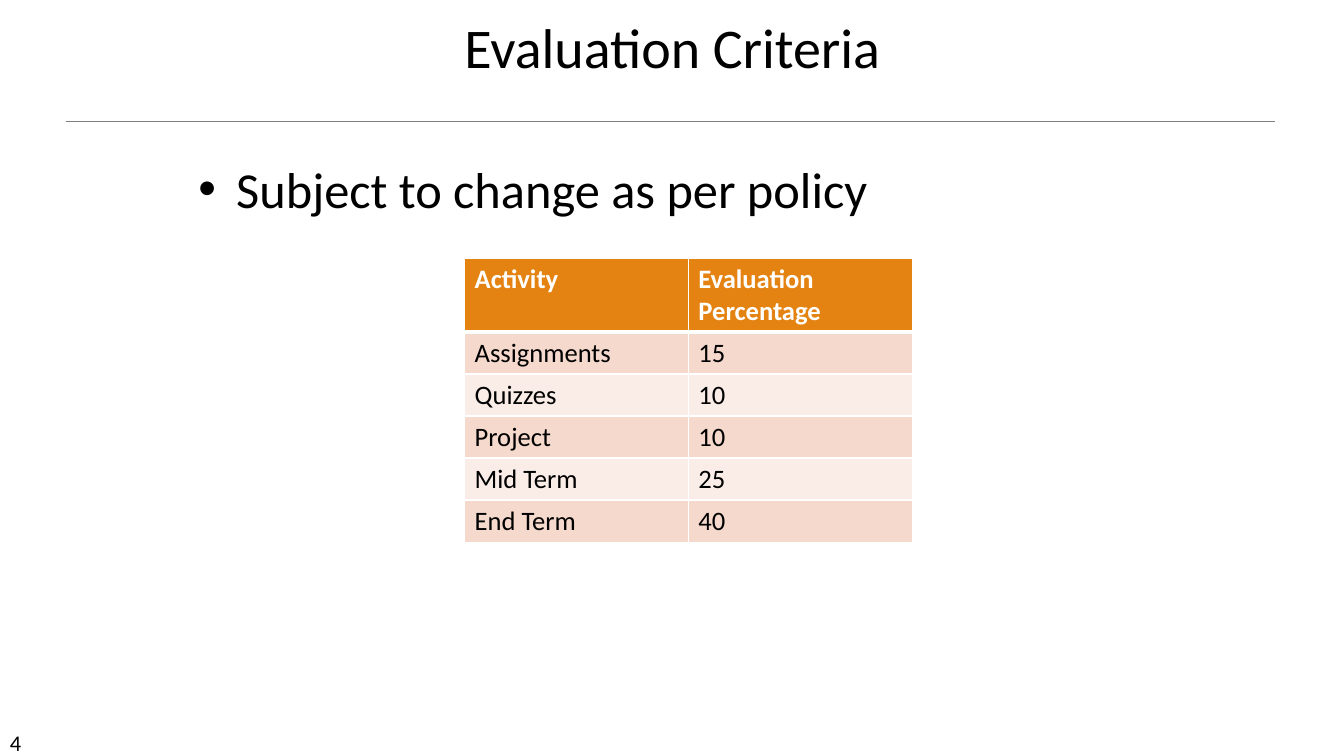
from lxml import etree
from pptx import Presentation
from pptx import util as u
from pptx.dml.color import RGBColor
from pptx.enum import shapes, text
from pptx.oxml import ns

TITLE = "Evaluation Criteria"
POLICY = "Subject to change as per policy"
PAGE_NUMBER = "4"
CRITERIA = [
    ("Activity", "Evaluation Percentage"),
    ("Assignments", "15"),
    ("Quizzes", "10"),
    ("Project", "10"),
    ("Mid Term", "25"),
    ("End Term", "40"),
]
THEME = {
    "font": "Calibri",
    "black": "000000",
    "white": "FFFFFF",
    "rule": "808080",
    "header": "E48312",
    "bands": ("F5D9CC", "FAEDE7"),
    "title": 40,
    "body": 36,
    "table": 19,
    "page": 16,
}
SLIDE_SIZE = (960, 540)
RULE = (46.8, 86.4, 910.8)
TITLE_BOX = (156.24, 2.16, 648, 61.2)
POLICY_BOX = (134.64, 109.44, 608.4, 51.12)
PAGE_BOX = (0, 516.96, 84.24, 21.6)
TABLE_ORIGIN = (331.92, 184.32)
COLUMN_WIDTH, HEADER_HEIGHT, ROW_HEIGHT = 159.84, 46.08, 29.52
BULLET_INDENT = 27


def points(values):
    return [u.Pt(value) for value in values]


def write(frame, content, size, color=THEME["black"], bold=False, align=None, bullet=None):
    frame.word_wrap = True
    paragraph = frame.paragraphs[0]
    if bullet:
        properties = paragraph._p.get_or_add_pPr()
        properties.set("marL", str(u.Pt(BULLET_INDENT)))
        properties.set("indent", str(-u.Pt(BULLET_INDENT)))
        etree.SubElement(properties, ns.qn("a:buFont"), typeface="Arial")
        etree.SubElement(properties, ns.qn("a:buChar"), char=bullet)
    paragraph.alignment = align
    run = paragraph.add_run()
    run.text = content
    run.font.name = THEME["font"]
    run.font.size = u.Pt(size)
    run.font.bold = bold
    run.font.color.rgb = RGBColor.from_string(color)


def add_text(slide, box, content, anchor=text.MSO_ANCHOR.TOP, **style):
    shape = slide.shapes.add_textbox(*points(box))
    shape.text_frame.vertical_anchor = anchor
    write(shape.text_frame, content, **style)


def add_rule(slide):
    left, top, right = points(RULE)
    rule = slide.shapes.add_connector(shapes.MSO_CONNECTOR.STRAIGHT, left, top, right, top)
    rule.line.color.rgb = RGBColor.from_string(THEME["rule"])
    rule.line.width = u.Pt(0.5)
    etree.SubElement(rule._element.spPr, ns.qn("a:effectLst"))


def set_borders(cell, widths):
    properties = cell._tc.get_or_add_tcPr()
    for index, (side, width) in enumerate(widths.items()):
        line = etree.Element(ns.qn(f"a:ln{side}"), w=str(u.Pt(width)))
        fill = etree.SubElement(line, ns.qn("a:solidFill"))
        etree.SubElement(fill, ns.qn("a:srgbClr"), val=THEME["white"])
        properties.insert(index, line)


def add_criteria(slide):
    columns = len(CRITERIA[0])
    heights = [HEADER_HEIGHT] + [ROW_HEIGHT] * (len(CRITERIA) - 1)
    box = (*TABLE_ORIGIN, COLUMN_WIDTH * columns, sum(heights))
    table = slide.shapes.add_table(len(CRITERIA), columns, *points(box)).table
    for column in table.columns:
        column.width = u.Pt(COLUMN_WIDTH)
    for row, (values, height) in enumerate(zip(CRITERIA, heights)):
        table.rows[row].height = u.Pt(height)
        header = row == 0
        background = THEME["header"] if header else THEME["bands"][(row - 1) % 2]
        for column, value in enumerate(values):
            cell = table.cell(row, column)
            cell.fill.solid()
            cell.fill.fore_color.rgb = RGBColor.from_string(background)
            top, bottom = 3 if row == 1 else 1, 3 if header else 1
            set_borders(cell, {"L": 1, "R": 1, "T": top, "B": bottom})
            color = THEME["white"] if header else THEME["black"]
            write(cell.text_frame, value, THEME["table"], color=color, bold=header)


def main():
    presentation = Presentation()
    presentation.slide_width, presentation.slide_height = points(SLIDE_SIZE)
    slide = presentation.slides.add_slide(presentation.slide_layouts[6])
    add_rule(slide)
    add_text(slide, PAGE_BOX, PAGE_NUMBER, size=THEME["page"])
    add_text(slide, TITLE_BOX, TITLE, anchor=text.MSO_ANCHOR.MIDDLE,
             size=THEME["title"], align=text.PP_ALIGN.CENTER)
    add_criteria(slide)
    add_text(slide, POLICY_BOX, POLICY, size=THEME["body"], bullet="•")
    presentation.save("out.pptx")


if __name__ == "__main__":
    main()
